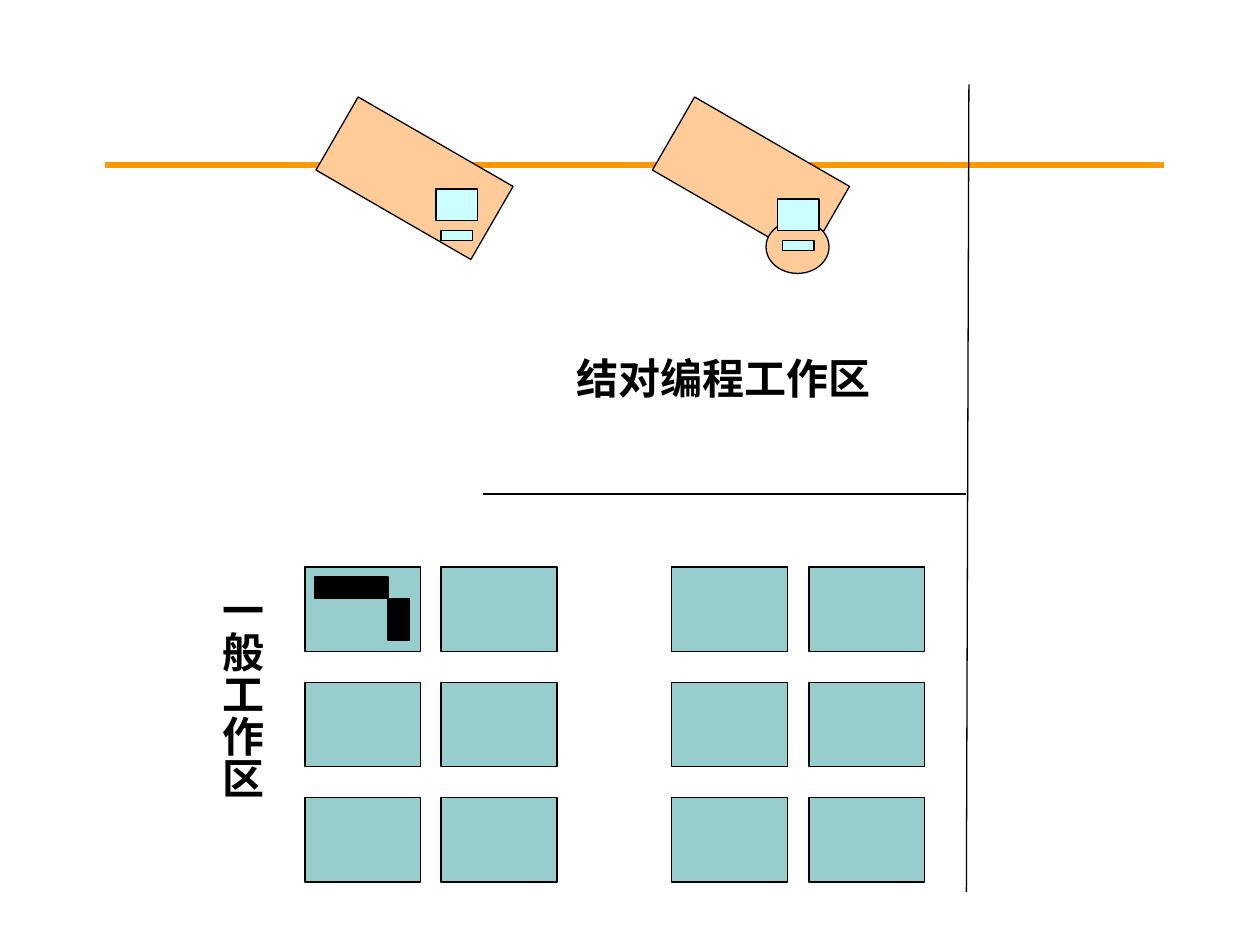
import pptx
import pptx.util
import pptx.dml.color
import pptx.enum.shapes
import pptx.enum.text
import pptx.oxml.ns
import lxml.etree

Inches = pptx.util.Inches
RGBColor = pptx.dml.color.RGBColor
MSO_SHAPE = pptx.enum.shapes.MSO_SHAPE

BLACK = RGBColor(0x00, 0x00, 0x00)
ORANGE = RGBColor(0xFF, 0x99, 0x00)
PEACH = RGBColor(0xFF, 0xCC, 0x99)
TEAL = RGBColor(0x97, 0xCD, 0xCC)
CYAN = RGBColor(0xCC, 0xFF, 0xFF)

DESK_COLUMNS = (2.42, 3.5, 5.33, 6.42)
DESK_TOP, DESK_PITCH, DESK_ROWS = 4.5, 0.915, 3


def add_block(s, x, y, w, h, fill, kind=MSO_SHAPE.RECTANGLE, rotation=0):
    """Add a filled shape with a thin black outline."""
    sp = s.shapes.add_shape(kind, Inches(x), Inches(y), Inches(w), Inches(h))
    sp.shadow.inherit = False
    sp.rotation = rotation
    sp.fill.solid()
    sp.fill.fore_color.rgb = fill
    sp.line.color.rgb = BLACK
    sp.line.width = pptx.util.Pt(0.75)


def add_line(s, x1, y1, x2, y2, color=BLACK, width=0.75):
    """Add a straight line without a shadow."""
    line = s.shapes.add_connector(
        pptx.enum.shapes.MSO_CONNECTOR.STRAIGHT,
        Inches(x1), Inches(y1), Inches(x2), Inches(y2))
    line.line.color.rgb = color
    line.line.width = pptx.util.Pt(width)
    lxml.etree.SubElement(line._element.spPr, pptx.oxml.ns.qn("a:effectLst"))


def add_label(s, text, x, y, w, h, vertical=False):
    """Add a bold centred area label, optionally written top to bottom."""
    sp = s.shapes.add_textbox(Inches(x), Inches(y), Inches(w), Inches(h))
    tf = sp.text_frame
    tf.word_wrap = True
    tf.auto_size = pptx.enum.text.MSO_AUTO_SIZE.SHAPE_TO_FIT_TEXT
    if vertical:
        tf.margin_left = tf.margin_right = Inches(0.05)
        tf.margin_top = tf.margin_bottom = Inches(0.1)
        sp._element.txBody.bodyPr.set("vert", "eaVert")
    tf.text = text
    p = tf.paragraphs[0]
    p.alignment = pptx.enum.text.PP_ALIGN.CENTER
    font = p.runs[0].font
    font.name = "Times New Roman"
    font.size = pptx.util.Pt(24)
    font.bold = True
    font.color.rgb = BLACK


def add_computer(s, x, y):
    """Add a keyboard and the screen above it, placed by the screen corner."""
    add_block(s, x + 0.04, y + 0.33, 0.25, 0.08, CYAN)
    add_block(s, x, y, 0.33, 0.25, CYAN)


def add_desks(s):
    """Add the grid of ordinary desks."""
    for x in DESK_COLUMNS:
        for row in range(DESK_ROWS):
            add_block(s, x, DESK_TOP + row * DESK_PITCH, 0.92, 0.67, TEAL)


def main():
    """Build the office layout slide."""
    prs = pptx.Presentation()
    prs.slide_width, prs.slide_height = Inches(10), Inches(7.5)
    s = prs.slides.add_slide(prs.slide_layouts[6])

    add_line(s, 0.83, 1.31, 9.24, 1.31, ORANGE, 3)
    add_desks(s)
    add_line(s, 3.83, 3.92, 7.67, 3.92)
    add_line(s, 7.69, 0.67, 7.67, 7.08)
    add_block(s, 2.5, 4.58, 0.58, 0.17, BLACK)
    add_block(s, 3.08, 4.75, 0.17, 0.33, BLACK)

    for x in (2.58, 5.25):
        add_block(s, x, 1.08, 1.42, 0.67, PEACH, rotation=30)
    add_block(s, 6.08, 1.75, 0.5, 0.42, PEACH, MSO_SHAPE.OVAL)
    add_computer(s, 3.46, 1.5)
    add_computer(s, 6.17, 1.58)

    add_label(s, "结对编程工作区", 4.33, 2.75, 2.83, 0.5)
    add_label(s, "一般工作区", 1.57, 4.58, 0.6, 2.17, vertical=True)
    prs.save("out.pptx")


if __name__ == "__main__":
    main()
